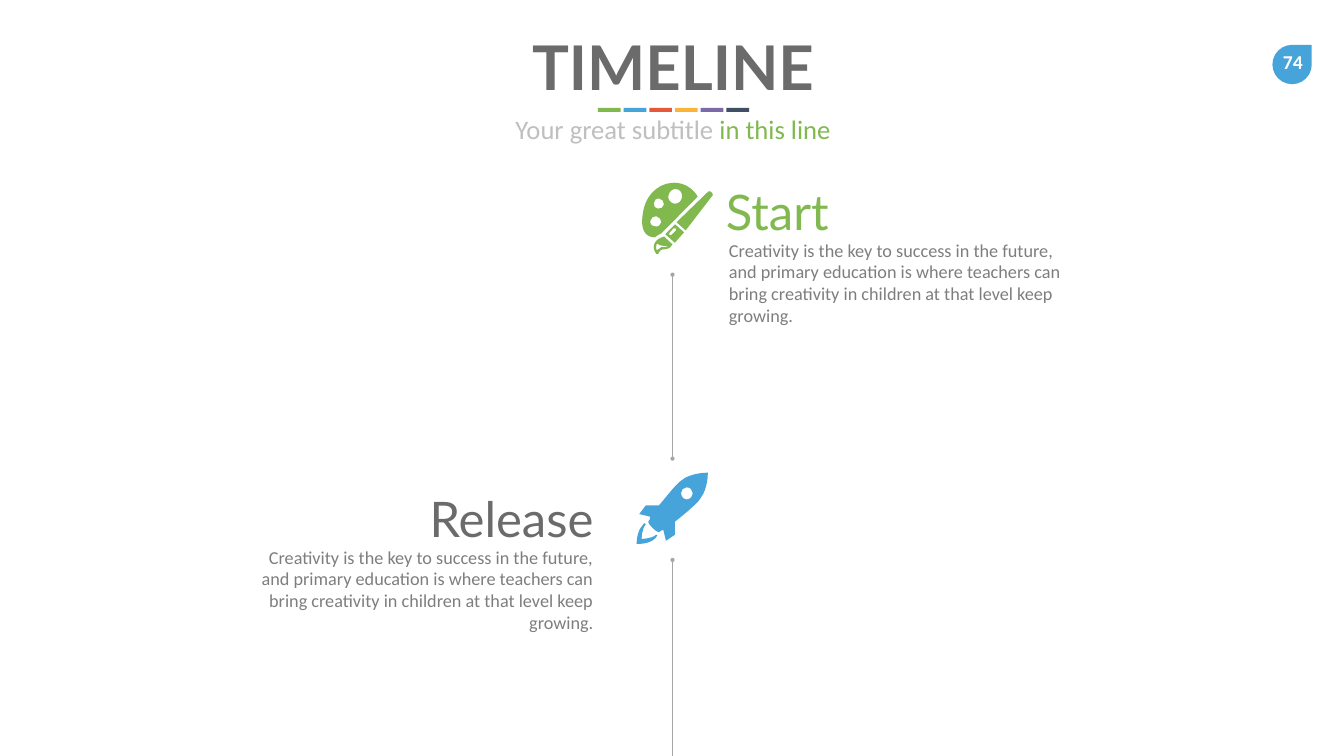
from lxml import etree
from pptx import Presentation
from pptx.dml.color import RGBColor
from pptx.enum.shapes import MSO_CONNECTOR, MSO_SHAPE
from pptx.enum.text import MSO_ANCHOR, PP_ALIGN
from pptx.oxml.ns import qn
from pptx.util import Pt

PX = 9144
LEFT, CENTER, RIGHT = PP_ALIGN.LEFT, PP_ALIGN.CENTER, PP_ALIGN.RIGHT
TOP, MIDDLE = MSO_ANCHOR.TOP, MSO_ANCHOR.MIDDLE
RECT, TEARDROP = MSO_SHAPE.RECTANGLE, MSO_SHAPE.TEAR
STRAIGHT = MSO_CONNECTOR.STRAIGHT

GREEN, BLUE, RED = "81B94F", "46A4DB", "E5583A"
YELLOW, PURPLE, NAVY = "F9B439", "7C69A8", "404F64"
DARK, GRAY, LINE, PALE, WHITE = "6B6B6B", "7E7E7E", "A6A6A6", "BFBFBF", "FFFFFF"
HEAD_FONT, BODY_FONT = "Lato", "Calibri"
WIDE_INSETS, SLIM_INSETS = (20, 10), (10, 5)

BODY = ("Creativity is the key to success in the future, and primary education "
        "is where teachers can bring creativity in children at that level keep growing.")

PALETTE = """
M 1384 390 C 1376 376 1361 365 1344 363 C 1312 359 1285 382 1277 414
C 1268 456 1279 470 1299 471 C 1302 468 1307 465 1312 463 Z
M 1326 388 C 1327 380 1334 374 1342 375 C 1349 376 1354 383 1353 391
C 1352 399 1346 405 1337 404 C 1330 403 1324 395 1326 388 Z
M 1297 403 C 1297 397 1302 393 1308 394 C 1314 395 1318 400 1317 406
C 1316 411 1311 415 1305 414 C 1300 414 1296 409 1297 403 Z
M 1300 449 C 1293 449 1289 444 1290 438 C 1291 432 1297 428 1302 429
C 1308 430 1312 436 1312 441 C 1311 446 1305 451 1300 449 Z"""
HANDLE = """
M 1360 457 L 1361 456 L 1414 387 C 1414 386 1413 383 1411 381
C 1408 378 1405 380 1405 380 L 1343 440 L 1342 441 Z"""
FERRULE = """
M 1339 482 L 1340 480 L 1357 461 L 1339 445 L 1321 463 L 1320 465 Z
M 1328 462 L 1336 453 C 1337 452 1339 452 1340 453 L 1341 454 L 1341 457
L 1332 466 C 1331 467 1330 467 1329 467 L 1328 466 Z"""
BRISTLES = """
M 1333 486 L 1334 485 L 1317 469 L 1316 470 C 1302 473 1289 487 1302 504
C 1303 504 1304 505 1305 504 C 1306 504 1306 504 1306 503
C 1307 501 1309 498 1310 497 C 1314 492 1326 499 1333 486 Z
M 1317 490 C 1313 490 1310 490 1307 494 C 1306 494 1306 495 1305 495
C 1305 496 1304 496 1303 496 L 1302 495 C 1301 491 1301 489 1302 487
C 1302 485 1303 484 1303 483 C 1307 486 1311 488 1316 488
C 1319 487 1322 488 1326 488 C 1322 490 1319 490 1317 490 Z"""
ROCKET = """
M 1404 938 C 1404 938 1383 937 1361 947 C 1355 951 1348 955 1342 962
C 1333 971 1319 989 1307 1003 L 1281 1003 L 1268 1020 L 1289 1025
L 1290 1029 L 1286 1035 C 1286 1035 1285 1038 1294 1047
C 1303 1056 1307 1056 1307 1056 L 1313 1052 L 1316 1052 L 1321 1073
L 1339 1061 L 1339 1035 C 1353 1024 1372 1008 1381 999
C 1387 994 1391 986 1395 980 C 1405 959 1404 938 1404 938 Z
M 1362 991 C 1356 991 1351 985 1351 978 C 1351 972 1356 967 1362 967
C 1369 967 1374 972 1374 978 C 1374 985 1369 991 1362 991 Z
M 1302 1061 C 1302 1062 1303 1062 1304 1062 C 1303 1064 1302 1066 1300 1068
C 1287 1081 1263 1079 1263 1079 C 1263 1079 1262 1055 1275 1042
C 1276 1040 1277 1039 1278 1038 C 1280 1039 1280 1039 1281 1040
C 1272 1052 1273 1069 1273 1069 C 1273 1069 1290 1070 1302 1061 Z"""


def rgb(value):
    return RGBColor.from_string(value)


def contours(outline):
    for part in outline.split("M")[1:]:
        nums = [int(word) for word in part.split() if word.isdigit()]
        yield list(zip(nums[::2], nums[1::2]))


def bend(sp, outline):
    segments = sp._element.iter(qn("a:lnTo"))
    segments = iter(list(segments))
    for command in outline.split():
        if command == "L":
            next(segments)
        elif command == "C":
            curve = next(segments)
            curve.tag = qn("a:cubicBezTo")
            for _ in range(2):
                extra = next(segments)
                curve.append(extra[0])
                extra.getparent().remove(extra)


class Deck:
    def __init__(self, width, height):
        self.prs = Presentation()
        self.prs.slide_width, self.prs.slide_height = width * PX, height * PX
        self.s = self.prs.slides.add_slide(self.prs.slide_layouts[6])

    def paint(self, sp, color):
        sp.shadow.inherit = False
        sp.fill.solid()
        sp.fill.fore_color.rgb = rgb(color)
        sp.line.fill.background()

    def shape(self, kind, x, y, w, h, color):
        sp = self.s.shapes.add_shape(kind, x * PX, y * PX, w * PX, h * PX)
        self.paint(sp, color)

    def icon(self, outline, color):
        first, *rest = contours(outline)
        builder = self.s.shapes.build_freeform(*first[0], scale=PX)
        builder.add_line_segments(first[1:], close=True)
        for points in rest:
            builder.move_to(*points[0])
            builder.add_line_segments(points[1:], close=True)
        sp = builder.convert_to_shape()
        bend(sp, outline)
        self.paint(sp, color)

    def text(self, x, y, w, h, runs, size, font, align=LEFT, anchor=TOP,
             insets=WIDE_INSETS, bold=False, wrap=True):
        sp = self.s.shapes.add_textbox(x * PX, y * PX, w * PX, h * PX)
        tf = sp.text_frame
        tf.word_wrap = wrap
        tf.vertical_anchor = anchor
        tf.margin_left = tf.margin_right = insets[0] * PX
        tf.margin_top = tf.margin_bottom = insets[1] * PX
        p = tf.paragraphs[0]
        p.alignment = align
        for words, color in runs:
            r = p.add_run()
            r.text = words
            r.font.name = font
            r.font.size = Pt(size)
            r.font.bold = bold
            r.font.color.rgb = rgb(color)

    def line(self, x, top, bottom, *dotted_ends):
        cx = self.s.shapes.add_connector(STRAIGHT, x * PX, top * PX, x * PX, bottom * PX)
        cx.line.color.rgb = rgb(LINE)
        cx.line.width = Pt(0.5)
        for end in dotted_ends:
            etree.SubElement(cx.line._get_or_add_ln(), qn(f"a:{end}"), type="oval")
        etree.SubElement(cx._element.spPr, qn("a:effectLst"))

    def milestone(self, title, color, title_x, body_x, y, align):
        self.text(body_x, y + 110, 714, 213, [(BODY, GRAY)], 26, BODY_FONT, align)
        self.text(title_x, y, 841, 129, [(title, color)], 70, HEAD_FONT, align, MIDDLE)


def main():
    deck = Deck(2666, 1500)
    deck.shape(TEARDROP, 2524, 89, 78, 78, BLUE)
    deck.text(2521, 90, 87, 67, [("74", WHITE)], 28, BODY_FONT, CENTER,
              bold=True, wrap=False)

    deck.milestone("Start", GREEN, 1420, 1426, 354, LEFT)
    deck.line(1334, 1111, 1500, "headEnd")
    deck.milestone("Release", DARK, 356, 483, 963, RIGHT)

    for outline in (PALETTE, HANDLE, FERRULE, BRISTLES):
        deck.icon(outline, GREEN)
    deck.line(1334, 545, 910, "headEnd", "tailEnd")
    deck.icon(ROCKET, BLUE)

    deck.text(190, 53, 2290, 158, [("TIMELINE", DARK)], 88, HEAD_FONT, CENTER,
              insets=SLIM_INSETS, bold=True)
    for i, color in enumerate((GREEN, BLUE, RED, YELLOW, PURPLE, NAVY)):
        deck.shape(RECT, 1186 + 51 * i, 214, 45, 8, color)
    deck.text(190, 220, 2290, 74,
              [("Your great subtitle ", PALE), ("in this line", GREEN)],
              38, BODY_FONT, CENTER, insets=SLIM_INSETS)
    deck.prs.save("out.pptx")


if __name__ == "__main__":
    main()
